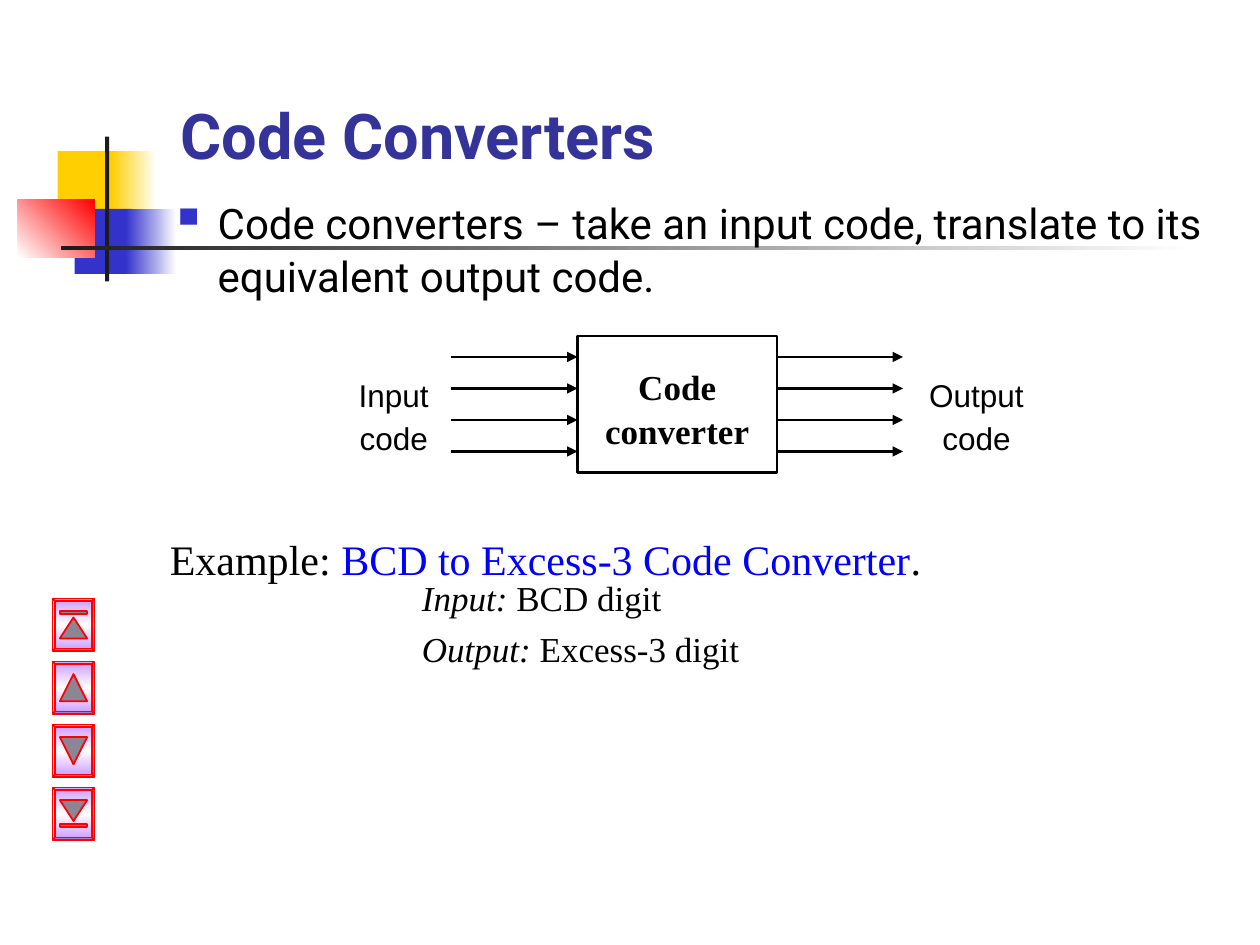
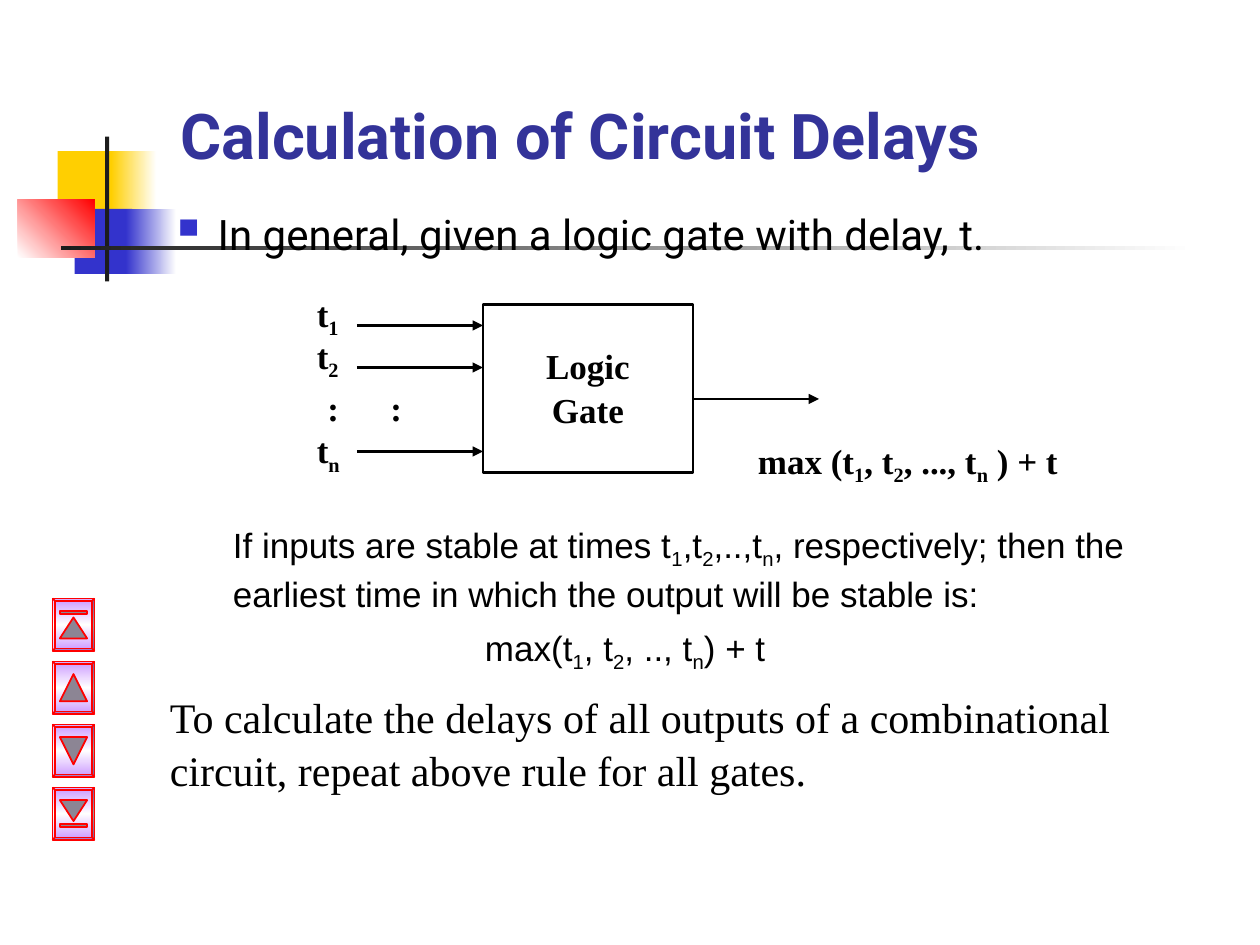
from dataclasses import dataclass

from lxml import etree
from pptx import Presentation
from pptx import util as u
from pptx.dml.color import RGBColor
from pptx.enum import shapes, text
from pptx.oxml.ns import qn

COLUMNS, ROWS = 120, 90
CELL = u.Inches(10) / COLUMNS


@dataclass(frozen=True)
class Theme:
    """Colours, fonts and type sizes that the slides share."""

    title: str = "333399"
    ink: str = "000000"
    accent: str = "0000FF"
    blue: str = "3333CC"
    yellow: str = "FFCF01"
    red: str = "FF0000"
    dark: str = "1C1C1C"
    white: str = "FFFFFF"
    lilac: str = "CC99FF"
    icon: str = "8C8594"
    heading_font: str = "Roboto"
    serif: str = "Times New Roman"
    sans: str = "Arial"
    title_size: int = 36
    body_size: int = 24
    label_size: int = 20
    small_size: int = 18
    line_spacing: float = 1.05


THEME = Theme()


def cells(*lengths):
    """Turn grid columns or rows into slide lengths."""
    return [u.Emu(round(length * CELL)) for length in lengths]


def set_gradient(shape, colours, angle):
    """Fill a shape with evenly spaced gradient colours."""
    shape.fill.gradient()
    shape.fill.gradient_angle = angle
    stops = shape._element.spPr.find(".//" + qn("a:gsLst"))
    for stop in list(stops):
        stops.remove(stop)
    for index, colour in enumerate(colours):
        position = round(100000 * index / (len(colours) - 1))
        stop = etree.SubElement(stops, qn("a:gs"), pos=str(position))
        etree.SubElement(stop, qn("a:srgbClr"), val=colour)


def add_block(page, area, fill=None, line=None, width=1, angle=0,
              kind=shapes.MSO_SHAPE.RECTANGLE):
    """Draw a preset shape with a plain, gradient or empty fill."""
    block = page.shapes.add_shape(kind, *cells(*area))
    block.shadow.inherit = False
    if fill is None:
        block.fill.background()
    elif isinstance(fill, str):
        block.fill.solid()
        block.fill.fore_color.rgb = RGBColor.from_string(fill)
    else:
        set_gradient(block, fill, angle)
    if line:
        block.line.color.rgb = RGBColor.from_string(line)
        block.line.width = u.Pt(width)
    else:
        block.line.fill.background()
    return block


def add_span(para, content, font, size, colour, bold, italic, subscript):
    """Add one formatted run to a paragraph."""
    span = para.add_run()
    span.text = content
    span.font.name = font
    span.font.size = u.Pt(size)
    span.font.bold = bold
    span.font.italic = italic
    span.font.color.rgb = RGBColor.from_string(colour)
    if subscript:
        span.font._element.set("baseline", "-25000")


def add_spans(para, content, font, size, colour, bold=False, italic=False):
    """Add text in which the character after an underscore is a subscript."""
    first, *rest = content.split("_")
    pieces = [(first, False)]
    for part in rest:
        pieces += [(part[0], True), (part[1:], False)]
    for piece, subscript in pieces:
        if piece:
            add_span(para, piece, font, size, colour, bold, italic, subscript)


def set_indent(para, margin, hanging=0):
    """Set the left margin and first-line offset of a paragraph."""
    properties = para._p.get_or_add_pPr()
    properties.set("marL", str(u.Inches(margin)))
    properties.set("indent", str(-u.Inches(hanging)))
    return properties


def add_bullet(para):
    """Give a paragraph the square blue bullet."""
    properties = set_indent(para, 0.38, 0.38)
    colour = etree.SubElement(properties, qn("a:buClr"))
    etree.SubElement(colour, qn("a:srgbClr"), val=THEME.blue)
    etree.SubElement(properties, qn("a:buSzPct"), val="120000")
    etree.SubElement(properties, qn("a:buChar"), char="▪")


def add_text(page, area, paragraphs, font=THEME.serif, size=THEME.label_size,
             colour=THEME.ink, bold=False, align=text.PP_ALIGN.LEFT,
             anchor=text.MSO_ANCHOR.TOP, gap=0, indents=(), bullet=False):
    """Write paragraphs, each a string or a list of (text, format) parts."""
    box = page.shapes.add_textbox(*cells(*area))
    frame = box.text_frame
    frame.word_wrap = True
    frame.vertical_anchor = anchor
    base = {"font": font, "size": size, "colour": colour, "bold": bold}
    for index, content in enumerate(paragraphs):
        para = frame.add_paragraph() if index else frame.paragraphs[0]
        if bullet:
            add_bullet(para)
        elif indents and indents[index]:
            set_indent(para, indents[index])
        para.alignment = align
        para.line_spacing = THEME.line_spacing
        if index and gap:
            para.space_before = u.Pt(gap)
        parts = [(content, {})] if isinstance(content, str) else content
        for part, changes in parts:
            add_spans(para, part, **{**base, **changes})
    return box


def add_arrow(page, left, row, length=12):
    """Draw a horizontal arrow pointing right."""
    arrow = page.shapes.add_connector(
        shapes.MSO_CONNECTOR.STRAIGHT, *cells(left, row, left + length, row))
    arrow.line.color.rgb = RGBColor.from_string(THEME.ink)
    arrow.line.width = u.Pt(1.25)
    etree.SubElement(arrow.line._get_or_add_ln(), qn("a:tailEnd"), type="triangle")
    etree.SubElement(arrow._element.spPr, qn("a:effectLst"))


def add_emblem(page):
    """Draw the coloured squares and the crossing bars."""
    add_block(page, (5.5, 14.4, 5.8, 6.2), THEME.yellow)
    add_block(page, (10.6, 14.4, 4.3, 6.2), (THEME.yellow, THEME.white))
    add_block(page, (7.1, 19.9, 5.5, 6.2), THEME.blue)
    add_block(page, (12, 19.9, 4.8, 6.2), (THEME.blue, THEME.white))
    add_block(page, (1.7, 19, 7.3, 5.5), (THEME.white, THEME.red), angle=45)
    add_block(page, (10, 13, 0.4, 13.8), THEME.dark)
    add_block(page, (5.8, 23.4, 108, 0.4), (THEME.dark, THEME.white))


def add_button(page, row, points_up, bar_offset=None):
    """Draw a navigation button with a triangle and an optional bar."""
    button = add_block(page, (5, row, 4, 5),
                       (THEME.lilac, THEME.white, THEME.lilac), THEME.red,
                       angle=90, kind=shapes.MSO_SHAPE.BEVEL)
    button.adjustments[0] = 0.06
    height = 2.6 if bar_offset is None else 2
    offset = 1.8 if bar_offset is not None and points_up else 1.2
    triangle = add_block(page, (5.7, row + offset, 2.6, height), THEME.icon,
                         THEME.red, kind=shapes.MSO_SHAPE.ISOSCELES_TRIANGLE)
    triangle.rotation = 0 if points_up else 180
    if bar_offset is not None:
        add_block(page, (5.7, row + bar_offset, 2.6, 0.3), THEME.icon, THEME.red)


def add_navigation(page):
    """Stack the first, previous, next and last buttons."""
    buttons = [(True, 1.2), (True, None), (False, None), (False, 3.5)]
    for index, (points_up, bar_offset) in enumerate(buttons):
        add_button(page, 57 + 6 * index, points_up, bar_offset)


def add_page(deck, title, statement, row, height):
    """Start a slide with its emblem, title, bullet and buttons."""
    page = deck.slides.add_slide(deck.slide_layouts[6])
    add_emblem(page)
    add_text(page, (16, 2, 102, 15), [title], font=THEME.heading_font,
             size=THEME.title_size, colour=THEME.title, bold=True,
             anchor=text.MSO_ANCHOR.BOTTOM)
    add_text(page, (15, row, 102, height), [statement],
             font=THEME.heading_font, size=THEME.body_size, bullet=True)
    add_navigation(page)
    return page


def add_component(page, frame_area, label_area, words):
    """Draw an outlined component with a centred bold label."""
    add_block(page, frame_area, line=THEME.ink, width=1.5)
    add_text(page, label_area, words, bold=True, align=text.PP_ALIGN.CENTER)


def build_converters(deck):
    """Build the slide on code converters."""
    page = add_page(deck, "Code Converters",
                    "Code converters – take an input code, translate to its "
                    "equivalent output code.", 18, 12)
    add_component(page, (55, 32, 19, 13), (56, 34, 17, 9.2), ["Code", "converter"])
    for left in (43, 74):
        for row in range(34, 44, 3):
            add_arrow(page, left, row)
    for left, width, word in ((32, 11, "Input"), (87, 12, "Output")):
        add_text(page, (left, 35, width, 8.8), [word, "code"], font=THEME.sans,
                 size=THEME.small_size, align=text.PP_ALIGN.CENTER, gap=2.2)
    add_text(page, (15, 50, 101, 6),
             [[("Example: ", {}),
               ("BCD to Excess-3 Code Converter", {"colour": THEME.accent}),
               (".", {})]], size=THEME.body_size)
    add_text(page, (15, 54.1, 101, 9),
             [[("Input:", {"italic": True}), (" BCD digit", {})],
              [("Output:", {"italic": True}), (" Excess-3 digit", {})]],
             gap=4, indents=(2, 2))


def build_delays(deck):
    """Build the slide on circuit delays."""
    page = add_page(deck, "Calculation of Circuit Delays",
                    "In general, given a logic gate with delay, t.", 19, 8)
    add_text(page, (21, 49, 92, 15),
             ["If inputs are stable at times t_1,t_2,..,t_n, respectively; then the "
              "earliest time in which the output will be stable is:",
              "max(t_1, t_2, .., t_n) + t"],
             font=THEME.sans, gap=5, indents=(0, 2))
    add_component(page, (46, 29, 20, 16), (50, 32, 12, 9.2), ["Logic", "Gate"])
    for name, row in (("t_1", 31), ("t_2", 35), ("t_n", 43)):
        add_arrow(page, 34, row)
        add_text(page, (29, row - 4 + (name == "t_n"), 5, 5.8), [name], bold=True)
    for left in (30, 36):
        add_text(page, (left, 36, 5, 5.3), [":"], bold=True)
    add_arrow(page, 66, 38)
    add_text(page, (71, 41, 35, 5.8), ["max (t_1, t_2, ..., t_n ) + t"], bold=True)
    add_text(page, (15, 65, 102, 12),
             ["To calculate the delays of all outputs of a combinational circuit, "
              "repeat above rule for all gates."], size=THEME.body_size)


def main():
    """Build and save the deck."""
    deck = Presentation()
    deck.slide_width, deck.slide_height = cells(COLUMNS, ROWS)
    build_converters(deck)
    build_delays(deck)
    deck.save("out.pptx")


if __name__ == "__main__":
    main()
